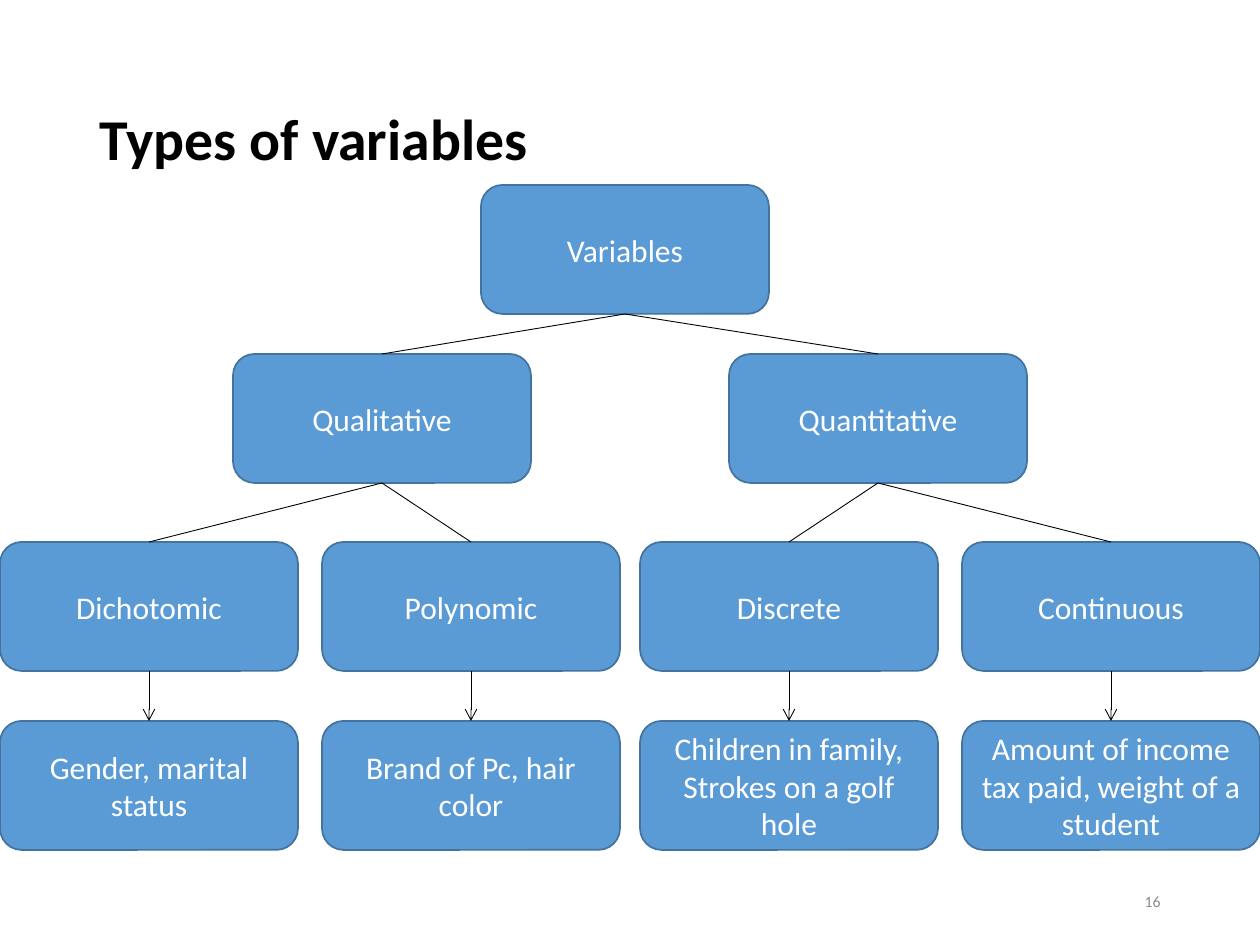
from dataclasses import dataclass

from lxml import etree
from pptx import Presentation
from pptx import util as u
from pptx.dml.color import RGBColor
from pptx.enum import shapes, text
from pptx.oxml.ns import qn

PX = 914400 / 126
BOTTOM, TOP = 2, 0
BOX_WIDTH, BOX_HEIGHT = 298, 129
COLUMNS = (0, 322, 640, 962)
KINDS_TOP, EXAMPLES_TOP = 542, 721

BRANCHES = (
    ("Qualitative", 233, (
        ("Dichotomic", "Gender, marital status"),
        ("Polynomic", "Brand of Pc, hair color"),
    )),
    ("Quantitative", 729, (
        ("Discrete", "Children in family, Strokes on a golf hole"),
        ("Continuous", "Amount of income tax paid, weight of a student"),
    )),
)


@dataclass(frozen=True)
class Theme:
    """Colours, font and type sizes of the slide."""
    font: str = "Calibri"
    ink: str = "000000"
    box_fill: str = "5B9BD5"
    box_line: str = "43739E"
    box_text: str = "FFFFFF"
    muted: str = "8C8C8C"
    title_size: int = 33
    box_size: int = 18
    number_size: int = 9


THEME = Theme()


def px(length):
    """Turn pixels into EMU."""
    return u.Emu(round(length * PX))


def rgb(code):
    """Turn a hex code into a colour."""
    return RGBColor.from_string(code)


def write(frame, words, size, color, align, bold=False):
    """Fill a text frame with one styled, vertically centred paragraph."""
    frame.word_wrap = True
    frame.vertical_anchor = text.MSO_ANCHOR.MIDDLE
    paragraph = frame.paragraphs[0]
    paragraph.text = words
    paragraph.alignment = align
    font = paragraph.font
    font.name, font.size, font.bold = THEME.font, u.Pt(size), bold
    font.color.rgb = rgb(color)
    return paragraph


def add_title(slide, words):
    """Place and style the slide title."""
    title = slide.shapes.title
    title.left, title.top, title.width, title.height = map(px, (87, 50, 1086, 183))
    heading = write(title.text_frame, words, THEME.title_size, THEME.ink,
                    text.PP_ALIGN.LEFT, bold=True)
    heading.line_spacing = 0.9


def add_box(slide, words, left, top, width=BOX_WIDTH):
    """Add one rounded box of the tree."""
    box = slide.shapes.add_shape(shapes.MSO_SHAPE.ROUNDED_RECTANGLE,
                                 px(left), px(top), px(width), px(BOX_HEIGHT))
    box.shadow.inherit = False
    box.fill.solid()
    box.fill.fore_color.rgb = rgb(THEME.box_fill)
    box.line.color.rgb = rgb(THEME.box_line)
    box.line.width = u.Pt(1)
    write(box.text_frame, words, THEME.box_size, THEME.box_text, text.PP_ALIGN.CENTER)
    return box


def link(slide, parent, child, arrow=False):
    """Join the bottom of a parent box to the top of its child."""
    branch = slide.shapes.add_connector(shapes.MSO_CONNECTOR.STRAIGHT, 0, 0, 0, 0)
    branch.begin_connect(parent, BOTTOM)
    branch.end_connect(child, TOP)
    branch.line.color.rgb = rgb(THEME.ink)
    branch.line.width = u.Pt(0.5)
    if arrow:
        etree.SubElement(branch.line._get_or_add_ln(), qn("a:tailEnd"), type="arrow")
    etree.SubElement(branch._element.spPr, qn("a:effectLst"))


def add_tree(slide):
    """Draw the variables, their branches, kinds and examples."""
    root = add_box(slide, "Variables", 481, 185, 288)
    columns = iter(COLUMNS)
    for name, branch_left, kinds in BRANCHES:
        branch = add_box(slide, name, branch_left, 354)
        link(slide, root, branch)
        for kind_name, example_words in kinds:
            left = next(columns)
            kind = add_box(slide, kind_name, left, KINDS_TOP)
            example = add_box(slide, example_words, left, EXAMPLES_TOP)
            link(slide, branch, kind)
            link(slide, kind, example, arrow=True)


def add_page_number(slide, number):
    """Add the page number at the lower right."""
    corner = slide.shapes.add_textbox(px(889), px(876), px(284), px(50))
    write(corner.text_frame, number, THEME.number_size, THEME.muted, text.PP_ALIGN.RIGHT)


def main():
    """Build and save the slide."""
    deck = Presentation()
    deck.slide_width, deck.slide_height = px(1260), px(945)
    slide = deck.slides.add_slide(deck.slide_layouts[5])
    add_title(slide, "Types of variables")
    add_tree(slide)
    add_page_number(slide, "16")
    deck.save("out.pptx")


if __name__ == "__main__":
    main()
